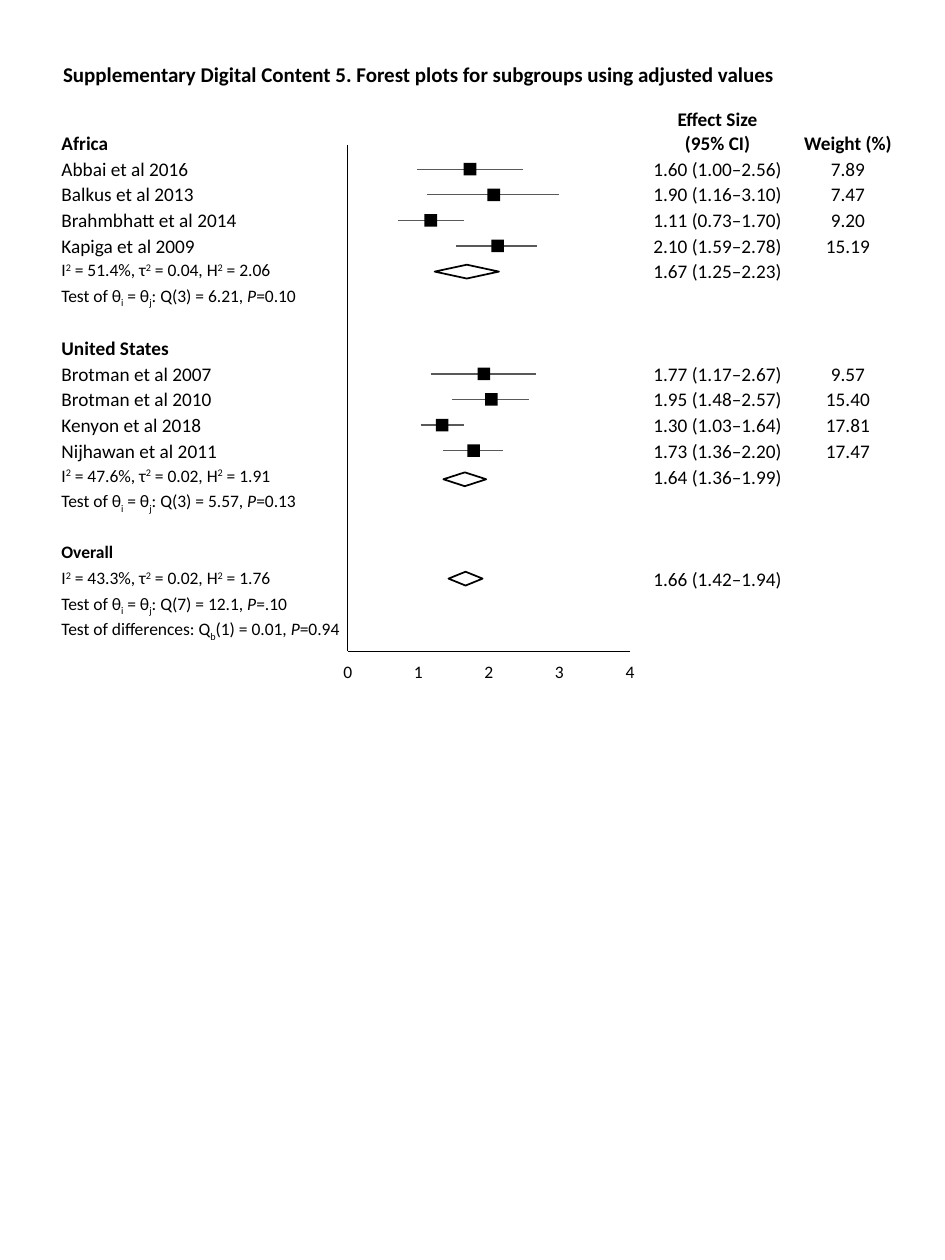
from dataclasses import dataclass
from typing import Optional

import lxml.etree
import pptx
import pptx.dml.color
import pptx.enum.shapes
import pptx.enum.text
import pptx.oxml.ns
import pptx.util

Pt = pptx.util.Pt
ALIGN = pptx.enum.text.PP_ALIGN
ANCHOR = pptx.enum.text.MSO_ANCHOR
SHAPE = pptx.enum.shapes.MSO_SHAPE


@dataclass(frozen=True)
class Theme:
    font: str = "Calibri"
    title: float = 12
    body: float = 11
    small: float = 10
    ink: str = "000000"
    paper: str = "FFFFFF"
    interval: str = "595959"
    thin: float = 0.75
    outline: float = 1


@dataclass(frozen=True)
class Estimate:
    """Horizontal extent on the plot; a pooled estimate has no centre."""
    low: float
    high: float
    centre: Optional[float] = None
    drop: float = 0


@dataclass(frozen=True)
class Row:
    label: str = ""
    effect: str = ""
    weight: str = ""
    estimate: Optional[Estimate] = None
    bold: bool = False
    small: bool = False


def heterogeneity(i2: str, tau2: str, h2: str, effect: str, pooled: Estimate) -> Row:
    label = f"I|^2| = {i2}%, τ|^2| = {tau2}, H|^2| = {h2}"
    return Row(label, effect, estimate=pooled, small=True)


def homogeneity_test(df: int, q: str, p: str) -> Row:
    return Row(f"Test of θ|_i| = θ|_j|: Q({df}) = {q}, |*P|={p}", small=True)


THEME = Theme()
TABLE_LEFT, TABLE_TOP = 34.56, 61.2
COLUMN_WIDTHS = (164.88, 162.72, 95.76, 53.28)
HEADER_HEIGHT, ROW_HEIGHT = 28.22, 14.62
CELL_INSET = 0.54
AXIS_LEFT, AXIS_TOP, AXIS_BOTTOM = 198.72, 82.8, 372.24
AXIS_UNIT, AXIS_MAX = 40.32, 4
TICK_TOP, TICK_WIDTH, TICK_HEIGHT = 378, 5, 12.2
SQUARE, DIAMOND_HEIGHT = 7.2, 7.9
MARKUP = {"^": ("baseline", "30000"), "_": ("baseline", "-25000"), "*": ("i", "1")}

ROWS = [
    Row("Africa", "Effect Size\n(95% CI)", "Weight (%)", bold=True),
    Row("Abbai et al 2016", "1.60 (1.00–2.56)", "7.89", Estimate(238.3, 298.8, 268.6)),
    Row("Balkus et al 2013", "1.90 (1.16–3.10)", "7.47", Estimate(244.1, 319.7, 282.2)),
    Row("Brahmbhatt et al 2014", "1.11 (0.73–1.70)", "9.20", Estimate(227.5, 265, 246.2)),
    Row("Kapiga et al 2009", "2.10 (1.59–2.78)", "15.19", Estimate(260.6, 306.7, 284.4)),
    heterogeneity("51.4", "0.04", "2.06", "1.67 (1.25–2.23)", Estimate(248.4, 285.1)),
    homogeneity_test(3, "6.21", "0.10"),
    Row(),
    Row("United States", bold=True),
    Row("Brotman et al 2007", "1.77 (1.17–2.67)", "9.57", Estimate(246.2, 306, 276.5)),
    Row("Brotman et al 2010", "1.95 (1.48–2.57)", "15.40", Estimate(258.5, 302.4, 280.8)),
    Row("Kenyon et al 2018", "1.30 (1.03–1.64)", "17.81", Estimate(240.5, 265, 252.7)),
    Row("Nijhawan et al 2011", "1.73 (1.36–2.20)", "17.47", Estimate(253.4, 287.3, 270.7)),
    heterogeneity("47.6", "0.02", "1.91", "1.64 (1.36–1.99)", Estimate(253.4, 277.9, drop=1.7)),
    homogeneity_test(3, "5.57", "0.13"),
    Row(),
    Row("Overall", bold=True, small=True),
    heterogeneity("43.3", "0.02", "1.76", "1.66 (1.42–1.94)", Estimate(256.3, 275.8)),
    homogeneity_test(7, "12.1", ".10"),
    Row("Test of differences: Q|_b|(1) = 0.01, |*P|=0.94", small=True),
]


def color(value: str) -> pptx.dml.color.RGBColor:
    return pptx.dml.color.RGBColor.from_string(value)


def write(paragraph, text: str, size: float, bold: bool = False, align=ALIGN.LEFT) -> None:
    """Write text whose |-separated pieces may start with a MARKUP sign."""
    if "|" in text:
        for piece in text.split("|"):
            run = paragraph.add_run()
            run.text = piece[1:] if piece[0] in MARKUP else piece
            if piece[0] in MARKUP:
                run.font._element.set(*MARKUP[piece[0]])
    elif text:
        paragraph.text = text
    else:
        end = lxml.etree.SubElement(paragraph._p, pptx.oxml.ns.qn("a:endParaRPr"))
        end.set("sz", str(int(size * 100)))
    paragraph.alignment = align
    paragraph.font.name = THEME.font
    paragraph.font.size = Pt(size)
    paragraph.font.bold = bold
    paragraph.font.color.rgb = color(THEME.ink)


def add_title(slide, text: str) -> None:
    title = slide.shapes.title
    title.left, title.top, title.width, title.height = Pt(28.8), Pt(31.68), Pt(472.32), Pt(21.6)
    title.text_frame.word_wrap = True
    title.text_frame.vertical_anchor = ANCHOR.TOP
    write(title.text_frame.paragraphs[0], text, THEME.title, bold=True)


def add_results_table(slide) -> None:
    height = HEADER_HEIGHT + ROW_HEIGHT * (len(ROWS) - 1)
    table = slide.shapes.add_table(
        len(ROWS), len(COLUMN_WIDTHS), Pt(TABLE_LEFT), Pt(TABLE_TOP),
        Pt(sum(COLUMN_WIDTHS)), Pt(height)).table
    table.first_row = table.horz_banding = False
    for column, width in zip(table.columns, COLUMN_WIDTHS):
        column.width = Pt(width)
    for index, row in enumerate(ROWS):
        table.rows[index].height = Pt(ROW_HEIGHT if index else HEADER_HEIGHT)
        for column, text in enumerate((row.label, "", row.effect, row.weight)):
            cell = table.cell(index, column)
            cell.fill.background()
            cell.margin_left = cell.margin_right = Pt(CELL_INSET)
            cell.margin_top = cell.margin_bottom = Pt(CELL_INSET)
            cell.vertical_anchor = ANCHOR.TOP if index else ANCHOR.BOTTOM
            is_small = not text or (row.small and column == 0)
            write(cell.text_frame.paragraphs[0], text,
                  THEME.small if is_small else THEME.body, row.bold,
                  ALIGN.CENTER if column else ALIGN.LEFT)


def add_line(slide, x1: float, y1: float, x2: float, y2: float, ink: str) -> None:
    line = slide.shapes.add_connector(
        pptx.enum.shapes.MSO_CONNECTOR.STRAIGHT, Pt(x1), Pt(y1), Pt(x2), Pt(y2))
    line.line.color.rgb = color(ink)
    line.line.width = Pt(THEME.thin)
    lxml.etree.SubElement(line._element.spPr, pptx.oxml.ns.qn("a:effectLst"))


def add_marker(slide, kind, x: float, y: float, width: float, height: float, fill: str):
    """Add a marker centred on x, y."""
    marker = slide.shapes.add_shape(
        kind, Pt(x - width / 2), Pt(y - height / 2), Pt(width), Pt(height))
    marker.shadow.inherit = False
    marker.fill.solid()
    marker.fill.fore_color.rgb = color(fill)
    marker.line.fill.background()
    return marker


def add_estimate(slide, estimate: Estimate, y: float) -> None:
    if estimate.centre is None:
        diamond = add_marker(
            slide, SHAPE.DIAMOND, (estimate.low + estimate.high) / 2, y + estimate.drop,
            estimate.high - estimate.low, DIAMOND_HEIGHT, THEME.paper)
        diamond.line.color.rgb = color(THEME.ink)
        diamond.line.width = Pt(THEME.outline)
    else:
        add_line(slide, estimate.low, y, estimate.high, y, THEME.interval)
        add_marker(slide, SHAPE.RECTANGLE, estimate.centre, y, SQUARE, SQUARE, THEME.ink)


def add_axes(slide) -> None:
    axis_right = AXIS_LEFT + AXIS_UNIT * AXIS_MAX
    add_line(slide, AXIS_LEFT, AXIS_BOTTOM, axis_right, AXIS_BOTTOM, THEME.ink)
    add_line(slide, AXIS_LEFT, AXIS_TOP, AXIS_LEFT, AXIS_BOTTOM, THEME.ink)
    for value in range(AXIS_MAX + 1):
        tick = slide.shapes.add_textbox(
            Pt(AXIS_LEFT + AXIS_UNIT * value - TICK_WIDTH / 2), Pt(TICK_TOP),
            Pt(TICK_WIDTH), Pt(TICK_HEIGHT)).text_frame
        tick.margin_left = tick.margin_right = tick.margin_top = tick.margin_bottom = 0
        tick.word_wrap = False
        write(tick.paragraphs[0], str(value), THEME.small, align=ALIGN.CENTER)


def main() -> None:
    deck = pptx.Presentation()
    deck.slide_width, deck.slide_height = Pt(540), Pt(720)
    slide = deck.slides.add_slide(deck.slide_layouts.get_by_name("Title Only"))
    add_title(slide, "Supplementary Digital Content 5. "
                     "Forest plots for subgroups using adjusted values")
    add_results_table(slide)
    add_axes(slide)
    for index, row in enumerate(ROWS):
        if row.estimate:
            y = TABLE_TOP + HEADER_HEIGHT + ROW_HEIGHT * (index - 0.5)
            add_estimate(slide, row.estimate, y)
    deck.save("out.pptx")


if __name__ == "__main__":
    main()
